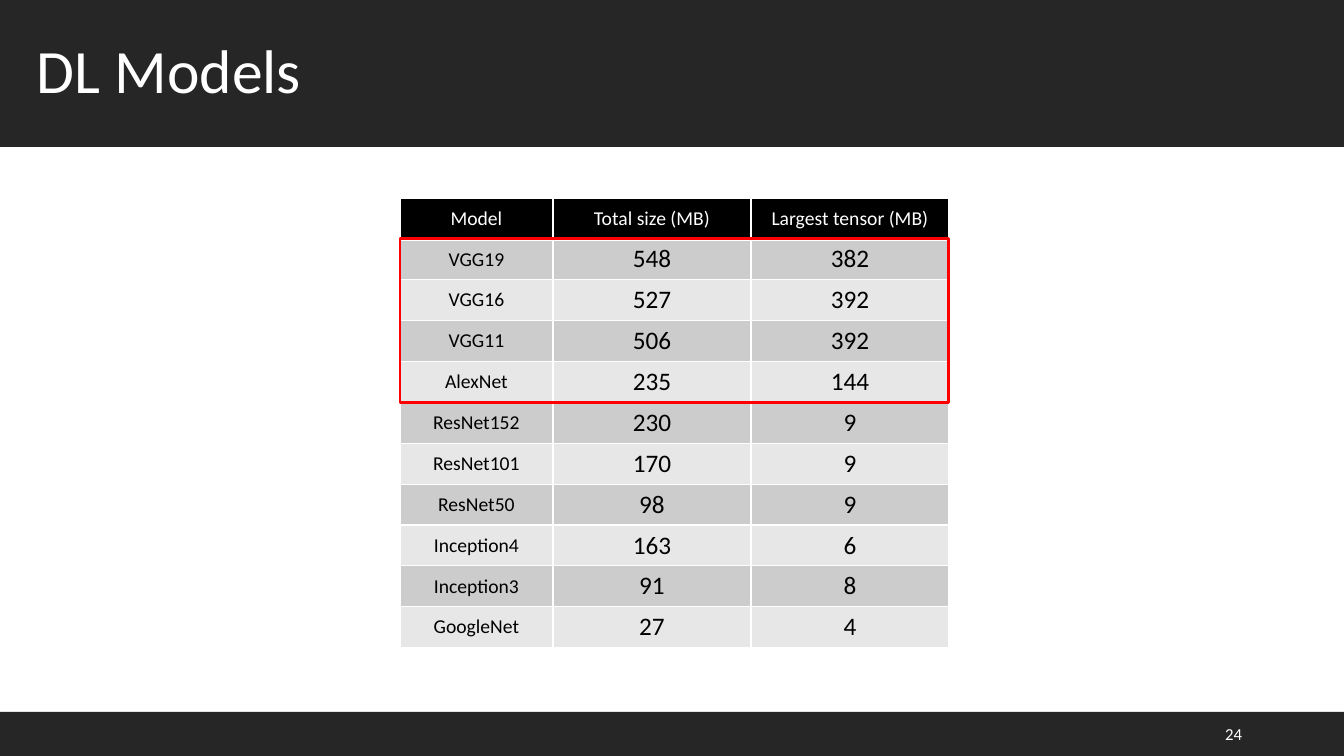
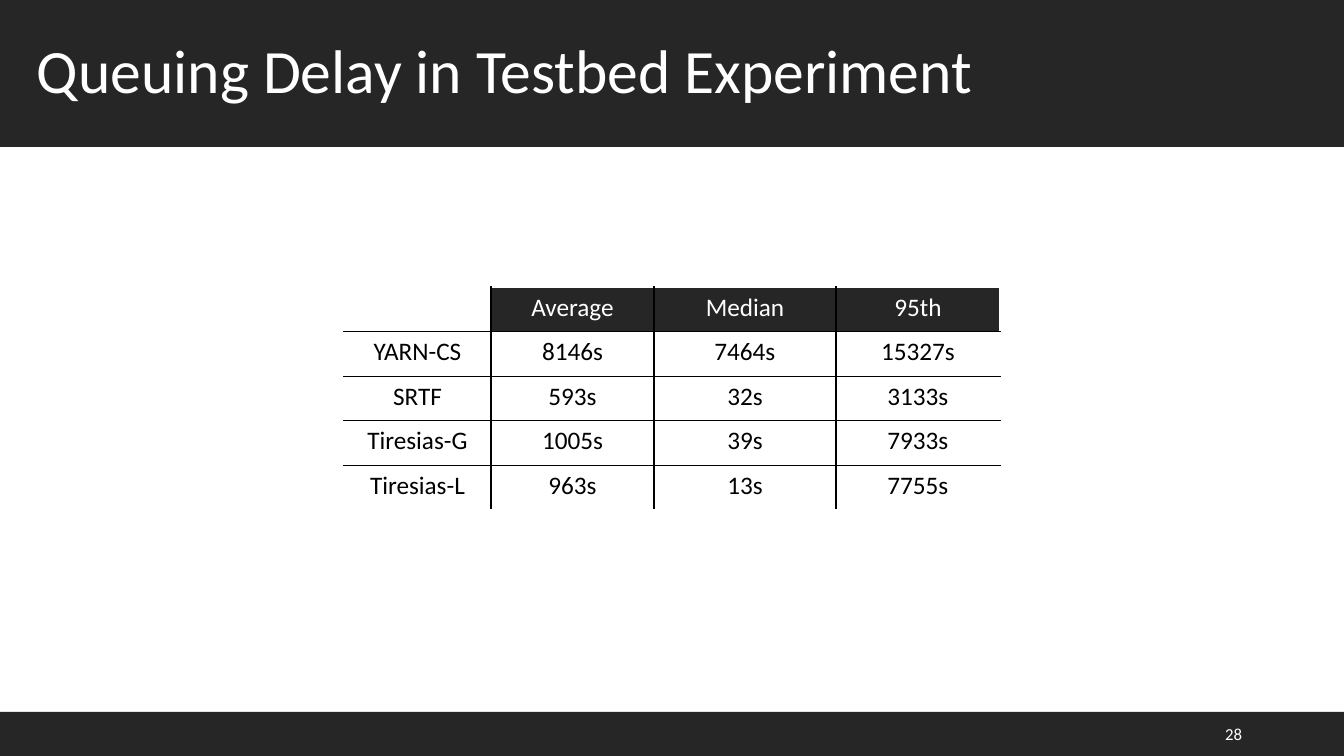
import lxml.etree
import pptx
import pptx.dml.color
import pptx.enum.shapes
import pptx.enum.text
import pptx.oxml.ns
import pptx.util

RGBColor = pptx.dml.color.RGBColor
ALIGN = pptx.enum.text.PP_ALIGN
ANCHOR = pptx.enum.text.MSO_ANCHOR

CHARCOAL = RGBColor(0x26, 0x26, 0x26)
WHITE = RGBColor(0xFF, 0xFF, 0xFF)
BLACK = RGBColor(0x00, 0x00, 0x00)
GREY = RGBColor(0xCC, 0xCC, 0xCC)
LIGHT_GREY = RGBColor(0xE7, 0xE7, 0xE7)
RED = RGBColor(0xFF, 0x00, 0x00)

FONT = "Calibri"
PX_PER_INCH = 100.8
SLIDE_WIDTH, SLIDE_HEIGHT = 1344, 756
TITLE_HEIGHT, FOOTER_HEIGHT = 147, 44


def px(length):
    return pptx.util.Emu(round(length * 914400 / PX_PER_INCH))


class Deck:
    def __init__(self):
        self.presentation = pptx.Presentation()
        self.presentation.slide_width = px(SLIDE_WIDTH)
        self.presentation.slide_height = px(SLIDE_HEIGHT)
        self.slide = None

    def start_slide(self, title, number):
        layout = self.presentation.slide_layouts[6]
        self.slide = self.presentation.slides.add_slide(layout)
        self.rectangle(0, SLIDE_HEIGHT - FOOTER_HEIGHT, SLIDE_WIDTH, FOOTER_HEIGHT, fill=CHARCOAL)
        band = self.rectangle(0, 0, SLIDE_WIDTH, TITLE_HEIGHT, fill=CHARCOAL)
        band.text_frame.margin_left = px(37)
        band.text_frame.word_wrap = True
        band.text_frame.vertical_anchor = ANCHOR.MIDDLE
        self.add_text(band.text_frame, title, 44, WHITE, ALIGN.LEFT).line_spacing = 0.9
        box = self.slide.shapes.add_textbox(px(950), px(714), px(302), px(40))
        box.text_frame.word_wrap = True
        box.text_frame.vertical_anchor = ANCHOR.MIDDLE
        self.add_text(box.text_frame, str(number), 12, WHITE, ALIGN.RIGHT)

    def add_text(self, frame, text, size, color, align):
        paragraph = frame.paragraphs[0]
        paragraph.alignment = align
        if text:
            run = paragraph.add_run()
            run.text = text
            run.font.name = FONT
            run.font.size = pptx.util.Pt(size)
            run.font.color.rgb = color
        return paragraph

    def rectangle(self, left, top, width, height, fill=None, line=None):
        shape = self.slide.shapes.add_shape(
            pptx.enum.shapes.MSO_SHAPE.RECTANGLE, px(left), px(top), px(width), px(height))
        shape.shadow.inherit = False
        if fill is None:
            shape.fill.background()
        else:
            shape.fill.solid()
            shape.fill.fore_color.rgb = fill
        if line is None:
            shape.line.fill.background()
        else:
            shape.line.color.rgb = line
            shape.line.width = pptx.util.Pt(2)
        return shape

    def border(self, cell, side, color, width):
        properties = cell._tc.get_or_add_tcPr()
        line = lxml.etree.SubElement(
            properties, pptx.oxml.ns.qn("a:ln" + side), w=str(pptx.util.Pt(width)))
        fill = lxml.etree.SubElement(line, pptx.oxml.ns.qn("a:solidFill"))
        lxml.etree.SubElement(fill, pptx.oxml.ns.qn("a:srgbClr"), val=str(color))

    def table(self, left, top, widths, height, rows, header_fill, body_fills, grid,
              label_size=18, header_rule=1, anchor=ANCHOR.TOP):
        last_row, last_column = len(rows) - 1, len(widths) - 1
        table = self.slide.shapes.add_table(
            len(rows), len(widths), px(left), px(top), px(sum(widths)), px(height)).table
        table.first_row = table.horz_banding = False
        for column, width in zip(table.columns, widths):
            column.width = px(width)
        for i, values in enumerate(rows):
            table.rows[i].height = px(height / len(rows))
            for j, text in enumerate(values):
                cell = table.cell(i, j)
                cell.vertical_anchor = anchor
                edges = {
                    "L": (j == 0, 1),
                    "R": (j == last_column, 1),
                    "T": (i == 0, header_rule if i == 1 else 1),
                    "B": (i == last_row, header_rule if i == 0 else 1),
                }
                for side, (outer, width) in edges.items():
                    self.border(cell, side, WHITE if outer else grid, width)
                header = i == 0 and text != ""
                cell.fill.solid()
                cell.fill.fore_color.rgb = header_fill if header else body_fills[(i - 1) % len(body_fills)]
                size = label_size if i == 0 or j == 0 else 18
                self.add_text(cell.text_frame, text, size, WHITE if header else BLACK, ALIGN.CENTER)


def models_slide(deck):
    deck.start_slide("DL Models", 24)
    rows = [
        ("Model", "Total size (MB)", "Largest tensor (MB)"),
        ("VGG19", "548", "382"),
        ("VGG16", "527", "392"),
        ("VGG11", "506", "392"),
        ("AlexNet", "235", "144"),
        ("ResNet152", "230", "9"),
        ("ResNet101", "170", "9"),
        ("ResNet50", "98", "9"),
        ("Inception4", "163", "6"),
        ("Inception3", "91", "8"),
        ("GoogleNet", "27", "4"),
    ]
    left, top, height, widths = 400, 198, 450, (153, 198, 198)
    deck.table(left, top, widths, height, rows, BLACK, (GREY, LIGHT_GREY), WHITE,
               label_size=14, header_rule=3, anchor=ANCHOR.MIDDLE)
    row_height = height / len(rows)
    deck.rectangle(left, top + row_height, sum(widths), 4 * row_height, line=RED)


def delay_slide(deck):
    deck.start_slide("Queuing Delay in Testbed Experiment", 28)
    rows = [
        ("", "Average", "Median", "95th"),
        ("YARN-CS", "8146s", "7464s", "15327s"),
        ("SRTF", "593s", "32s", "3133s"),
        ("Tiresias-G", "1005s", "39s", "7933s"),
        ("Tiresias-L", "963s", "13s", "7755s"),
    ]
    deck.table(344, 287, (147, 163, 182, 164), 223, rows, CHARCOAL, (WHITE,), BLACK)


def main():
    deck = Deck()
    models_slide(deck)
    delay_slide(deck)
    deck.presentation.save("out.pptx")


if __name__ == "__main__":
    main()
